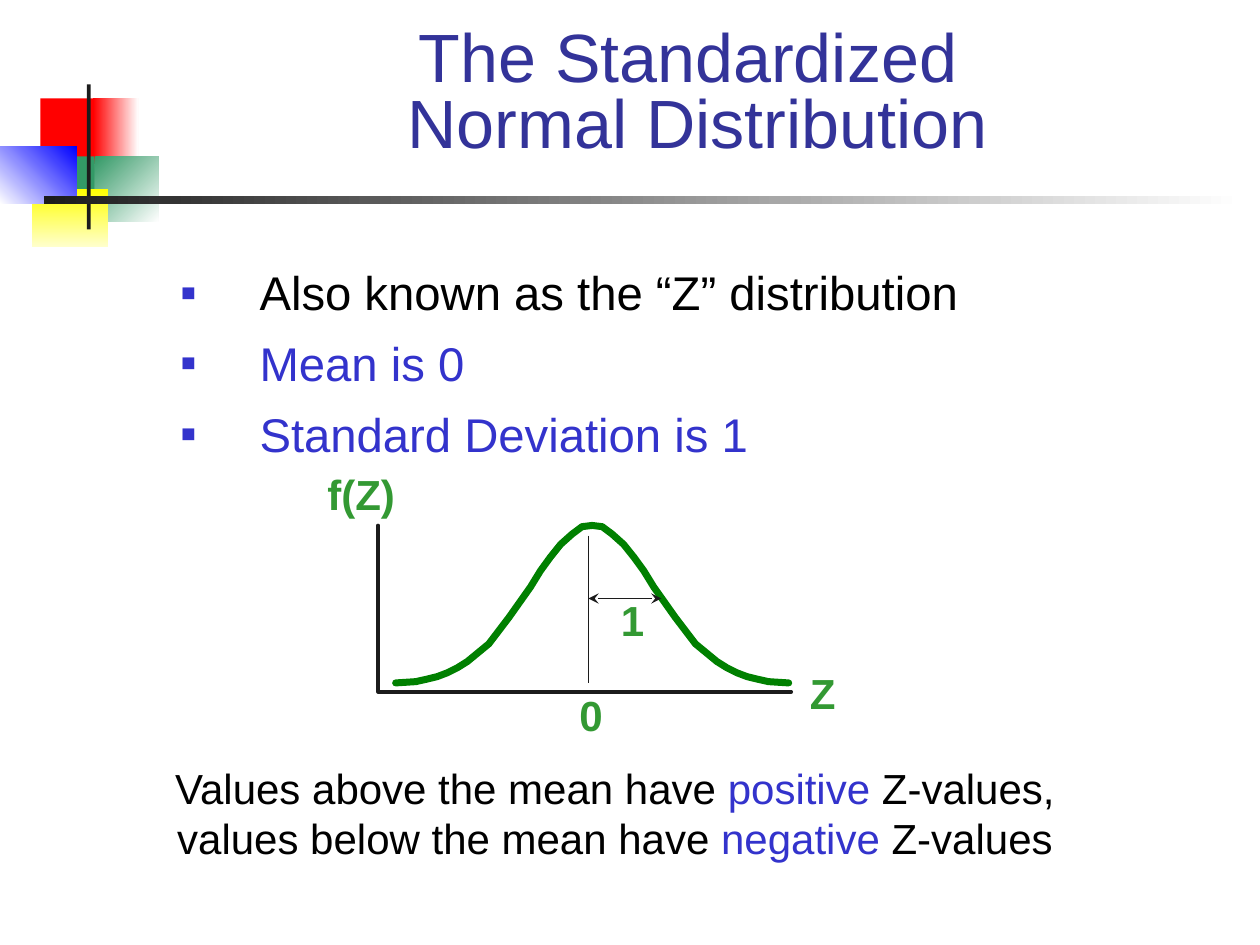
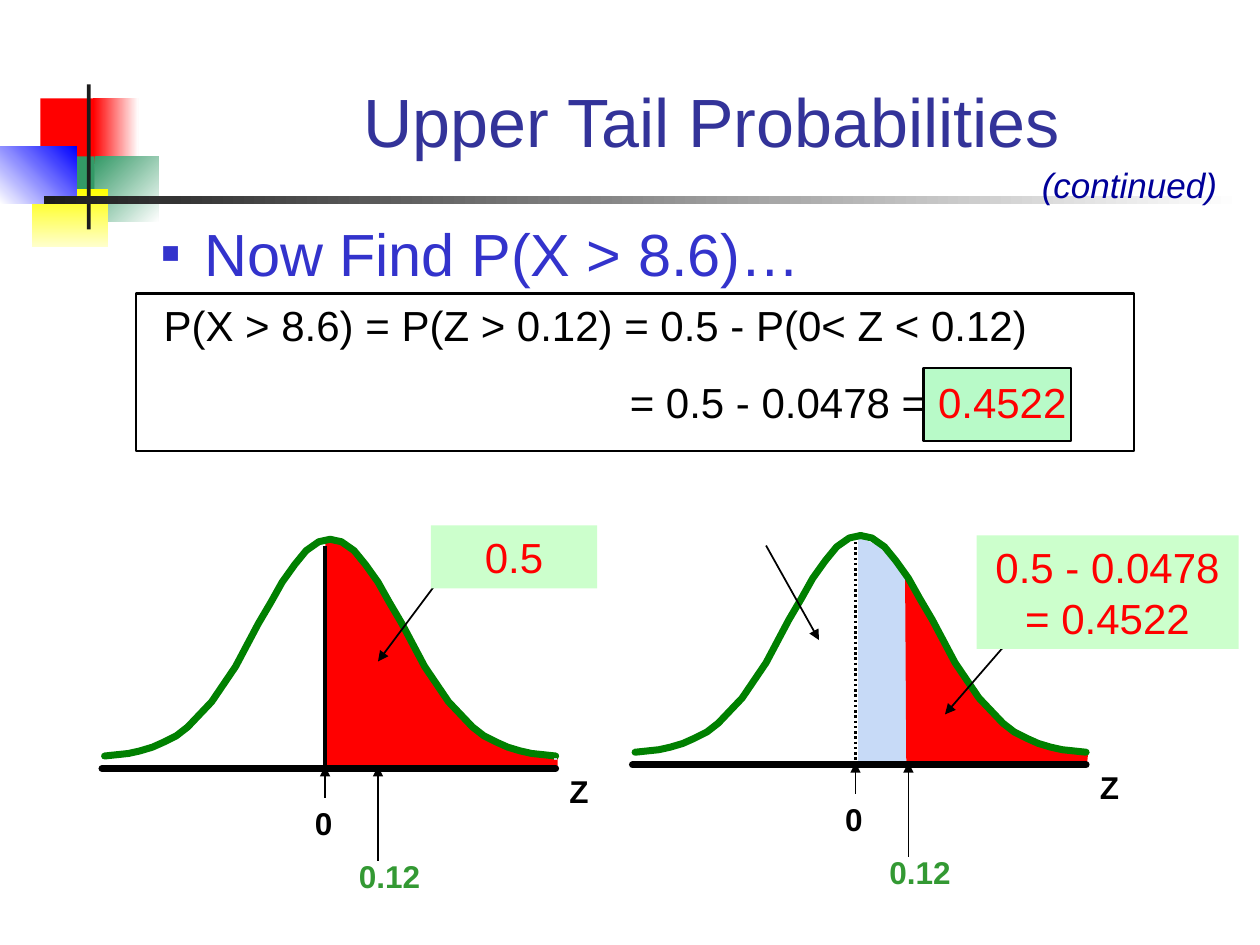
from lxml.etree import SubElement
from pptx import Presentation
from pptx.dml.color import RGBColor
from pptx.enum.dml import MSO_LINE_DASH_STYLE as DASH
from pptx.enum.shapes import MSO_CONNECTOR, MSO_SHAPE
from pptx.enum.text import MSO_ANCHOR as ANCHOR, MSO_AUTO_SIZE as AUTO, PP_ALIGN as ALIGN
from pptx.oxml.ns import qn
from pptx.util import Pt

PX = 9144  # 100 px to the inch
FONT = "Arial"

WHITE = RGBColor(0xFF, 0xFF, 0xFF)
BLACK = RGBColor(0x00, 0x00, 0x00)
INK = RGBColor(0x1C, 0x1C, 0x1C)
GREY = RGBColor(0xCD, 0xCD, 0xCD)
RED = RGBColor(0xFF, 0x00, 0x00)
BLUE = RGBColor(0x00, 0x00, 0xFF)
YELLOW = RGBColor(0xFF, 0xFF, 0x00)
CREAM = RGBColor(0xFF, 0xFF, 0xCC)
SEA = RGBColor(0x33, 0x99, 0x66)
NAVY = RGBColor(0x00, 0x00, 0x99)
TITLE = RGBColor(0x33, 0x33, 0x99)
ACCENT = RGBColor(0x33, 0x33, 0xCC)
LABEL = RGBColor(0x33, 0x99, 0x33)
CURVE = RGBColor(0x00, 0x80, 0x00)
MINT = RGBColor(0xCC, 0xFF, 0xCC)
RESULT = RGBColor(0xB8, 0xFA, 0xC8)
SKY = RGBColor(0xC7, 0xDA, 0xF7)

# Left half of the bell: steps from the tail (of 19) and rise (of 172)
BELL_STEPS = (0, 2, 3, 4, 5, 6, 7, 9, 11, 13, 14, 15, 16, 17, 18, 19)
BELL_RISE = (0, 2, 4, 7, 11, 16, 23, 43, 71, 105, 122, 138, 152, 163, 170, 172)


def px(*lengths):
    return [round(n * PX) for n in lengths]


def set_attrs(obj, values):
    for name, value in values.items():
        setattr(obj, name, value)


def paint(sp, fill=None, line=None, width=1):
    """Give a shape a plain fill and outline; None leaves it out."""
    sp.shadow.inherit = False
    if fill is None:
        sp.fill.background()
    else:
        sp.fill.solid()
        sp.fill.fore_color.rgb = fill
    if line is None:
        sp.line.fill.background()
    else:
        sp.line.color.rgb = line
        sp.line.width = Pt(width)


def add_rect(s, box, **look):
    sp = s.shapes.add_shape(MSO_SHAPE.RECTANGLE, *px(*box))
    paint(sp, **look)
    return sp


def add_gradient(s, box, start, end, angle):
    """Angle runs counter-clockwise from left-to-right."""
    sp = add_rect(s, box)
    sp.fill.gradient()
    sp.fill.gradient_angle = angle
    for stop, color in zip(sp.fill.gradient_stops, (start, end)):
        stop.color.rgb = color
    return sp


def add_outline(s, points, close=False, **look):
    builder = s.shapes.build_freeform(*points[0], scale=PX)
    builder.add_line_segments(points[1:], close=close)
    sp = builder.convert_to_shape()
    paint(sp, **look)
    if not close:
        sp._element.spPr.find(qn("a:ln")).set("cap", "rnd")


def add_line(s, start, end, color=BLACK, width=1, head=None, tail=None, dash=None):
    c = s.shapes.add_connector(MSO_CONNECTOR.STRAIGHT, *px(*start, *end))
    c.line.color.rgb = color
    c.line.width = Pt(width)
    if dash:
        c.line.dash_style = dash
    spPr = c._element.spPr
    ln = spPr.find(qn("a:ln"))
    for tag, kind in (("a:headEnd", head), ("a:tailEnd", tail)):
        if kind:
            SubElement(ln, qn(tag)).set("type", kind)
    SubElement(spPr, qn("a:effectLst"))


def write(tf, paragraphs, size, para=None, **font):
    """Each paragraph is a list of (text, colour) runs; newlines become breaks."""
    for i, runs in enumerate(paragraphs):
        p = tf.add_paragraph() if i else tf.paragraphs[0]
        set_attrs(p, para or {})
        for text, color in runs:
            for n, part in enumerate(text.split("\n")):
                if n:
                    p.add_line_break()
                r = p.add_run()
                r.text = part
                set_attrs(r.font, {"name": FONT, "size": Pt(size), **font})
                r.font.color.rgb = color


def add_text(s, box, paragraphs, size, wrap=True, para=None, **font):
    tf = s.shapes.add_textbox(*px(*box)).text_frame
    tf.word_wrap = wrap
    write(tf, paragraphs, size, para, **font)
    return tf


def add_label(s, box, text, color=LABEL, size=24):
    add_text(s, box, [[(text, color)]], size, wrap=False, bold=True)


def add_callout(s, box, text):
    tf = add_rect(s, box, fill=MINT).text_frame
    set_attrs(tf, {"word_wrap": True, "vertical_anchor": ANCHOR.TOP})
    write(tf, [[(text, RED)]], 24, {"alignment": ALIGN.CENTER})


def place(sp, box, anchor):
    set_attrs(sp, dict(zip(("left", "top", "width", "height"), px(*box))))
    set_attrs(sp.text_frame, {"auto_size": AUTO.NONE, "word_wrap": True,
                              "vertical_anchor": anchor})
    return sp.text_frame


def add_title(s, box, text, spacing=1.0):
    tf = place(s.shapes.title, box, ANCHOR.BOTTOM)
    write(tf, [[(text, TITLE)]], 39, {"alignment": ALIGN.CENTER, "line_spacing": spacing})


def add_bullets(s, box, items, size, indent, gap):
    tf = place(s.placeholders[1], box, ANCHOR.TOP)
    write(tf, [[item] for item in items], size, {"space_before": Pt(gap)})
    for p in tf.paragraphs:
        pPr = p._p.get_or_add_pPr()
        pPr.set("marL", str(indent * PX))
        pPr.set("indent", str(-indent * PX))
        color = SubElement(SubElement(pPr, qn("a:buClr")), qn("a:srgbClr"))
        color.set("val", str(ACCENT))
        SubElement(pPr, qn("a:buFont")).set("typeface", FONT)
        SubElement(pPr, qn("a:buChar")).set("char", "▪")


def add_bell(s, peak, top, half_width, height):
    for side in (1, -1):
        points = [(round(peak + side * half_width * (1 - step / 19)),
                   round(top + height * (1 - rise / 172)))
                  for step, rise in zip(BELL_STEPS, BELL_RISE)]
        add_outline(s, points, line=CURVE, width=4)


def decorate_layout(s, layout):
    """Draw the corner squares and rules, then move them behind the layout's text."""
    parts = [
        add_rect(s, (32, 78, 48, 52), fill=RED),
        add_gradient(s, (74, 78, 36, 52), RED, WHITE, 0),
        add_gradient(s, (75, 124, 51, 52), SEA, WHITE, 315),
        add_rect(s, (43, 124, 32, 52), fill=SEA),
        add_gradient(s, (25, 150, 61, 46), YELLOW, CREAM, 270),
        add_gradient(s, (0, 116, 61, 46), WHITE, BLUE, 45),
        add_rect(s, (69, 67, 3, 115), fill=INK),
        add_gradient(s, (35, 156, 951, 6), INK, WHITE, 0),
    ]
    for i, sp in enumerate(parts):
        layout.shapes.element.insert(2 + i, sp._element)


def add_z_plot(s, dx, dy, areas, **center):
    """Bell with its axis and labels; areas are (points, look) drawn behind it."""
    def at(x, y):
        return x + dx, y + dy

    for points, look in areas:
        add_outline(s, points, close=True, **look)
    add_line(s, at(258, 433), at(258, 608), **center)
    add_bell(s, *at(262, 428), 179, 172)
    add_outline(s, [at(81, 610), at(83, 610), at(441, 610)], line=BLACK, width=4)
    for x, bottom in ((258, 633), (300, 683)):
        add_line(s, at(x, bottom), at(x, 608), tail="triangle")
    add_label(s, (*at(442, 608), 42, 40), "Z", BLACK, 18)
    add_label(s, (*at(240, 633), 34, 40), "0", BLACK, 18)
    add_label(s, (*at(275, 675), 69, 40), "0.12", LABEL, 18)


def build_standardized(s):
    add_title(s, (117, 50, 858, 83), "The Standardized\n Normal Distribution", 0.8)
    add_bullets(s, (133, 204, 783, 202),
                [("Also known as the “Z” distribution", BLACK),
                 ("Mean is 0", ACCENT), ("Standard Deviation is 1", ACCENT)], 27, 63, 8)

    add_bell(s, 470, 417, 156, 125)
    add_line(s, (467, 425), (467, 542), INK)
    add_outline(s, [(300, 417), (300, 549), (628, 549)], line=INK, width=2)
    for i in range(10):
        for dot in ((306, 409 + i * 13.3), (340 + i * 32.9, 543)):
            add_line(s, dot, dot, GREY)
    add_line(s, (467, 475), (525, 475), INK, head="stealth", tail="stealth")
    add_label(s, (633, 525, 40, 50), "Z")
    add_label(s, (250, 367, 74, 50), "f(Z)")
    add_label(s, (450, 542, 52, 50), "0")
    add_label(s, (483, 467, 52, 50), "1")

    add_text(s, (92, 600, 792, 90),
             [[("Values above the mean have ", BLACK), ("positive", ACCENT),
               (" Z-values, values below the mean have ", BLACK),
               ("negative", ACCENT), (" Z-values", BLACK)]],
             24, para={"alignment": ALIGN.CENTER})


def build_upper_tail(s):
    add_title(s, (197, 25, 736, 108), "Upper Tail Probabilities")
    add_bullets(s, (117, 167, 575, 75), [("Now Find P(X > 8.6)…", ACCENT)], 34, 35, 8.5)
    add_text(s, (817, 125, 167, 44), [[("(continued)", NAVY)]], 20, italic=True)

    add_rect(s, (733, 292, 117, 58), fill=RESULT, line=BLACK, width=1.5)
    tf = add_text(s, (92, 233, 842, 111),
                  [[("P(X > 8.6) = P(Z > 0.12) = 0.5 - P(0< Z < 0.12)", BLACK)],
                   [("= 0.5 - 0.0478 = ", BLACK), ("0.4522", RED)]],
                  24, para={"space_before": Pt(15)})
    for p, indent in zip(tf.paragraphs, (28, 398)):
        p._p.get_or_add_pPr().set("marL", str(indent * PX))
    add_rect(s, (108, 233, 792, 125), line=BLACK, width=1.5)

    red_area = {"fill": RED, "line": RED}
    upper_half = [(258, 608), (259, 430), (273, 432), (296, 456), (310, 482), (324, 508),
                  (333, 524), (345, 543), (357, 558), (375, 577), (404, 594), (442, 600),
                  (442, 609)]
    middle = [(681, 426), (699, 434), (707, 442), (713, 450), (719, 459), (719, 606),
              (681, 606)]
    tail = [(720, 606), (719, 453), (724, 466), (733, 481), (739, 494), (746, 505),
            (754, 520), (766, 539), (778, 555), (796, 574), (825, 590), (863, 597),
            (862, 607)]
    add_z_plot(s, 0, 0, [(upper_half, red_area)], width=2.5)
    add_line(s, (441, 602), (441, 603), GREY, 2)
    add_z_plot(s, 421, -3, [(middle, {"fill": SKY}), (tail, red_area)],
               width=1.5, dash=DASH.ROUND_DOT)

    for start, end in (((350, 458), (300, 525)), ((808, 500), (750, 567)),
                       ((608, 433), (650, 508))):
        add_line(s, start, end, tail="triangle")
    add_callout(s, (342, 417, 132, 50), "0.5")
    add_callout(s, (775, 425, 208, 90), "0.5 - 0.0478 = 0.4522")


def main():
    prs = Presentation()
    prs.slide_width, prs.slide_height = px(1000, 750)
    layout = prs.slide_layouts[1]
    first, second = (prs.slides.add_slide(layout) for _ in range(2))
    decorate_layout(first, layout)
    build_standardized(first)
    build_upper_tail(second)
    prs.save("out.pptx")


if __name__ == "__main__":
    main()
